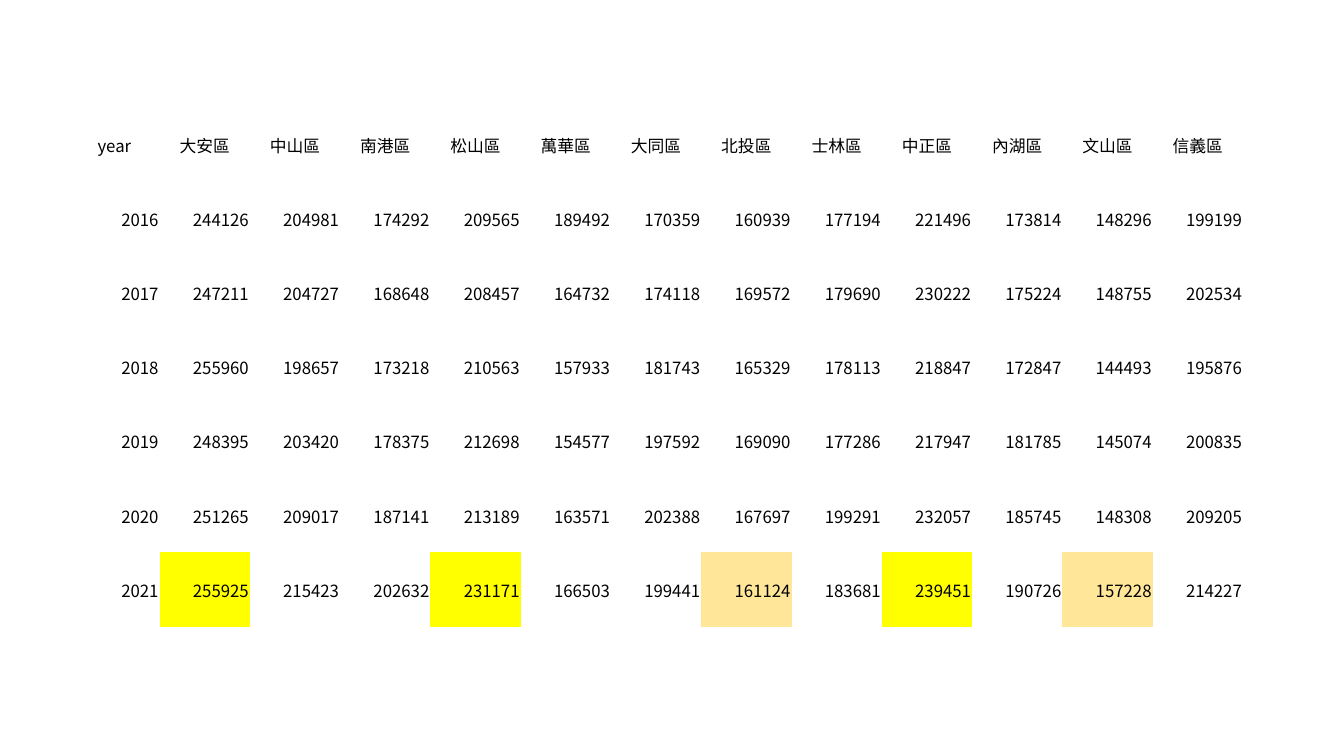
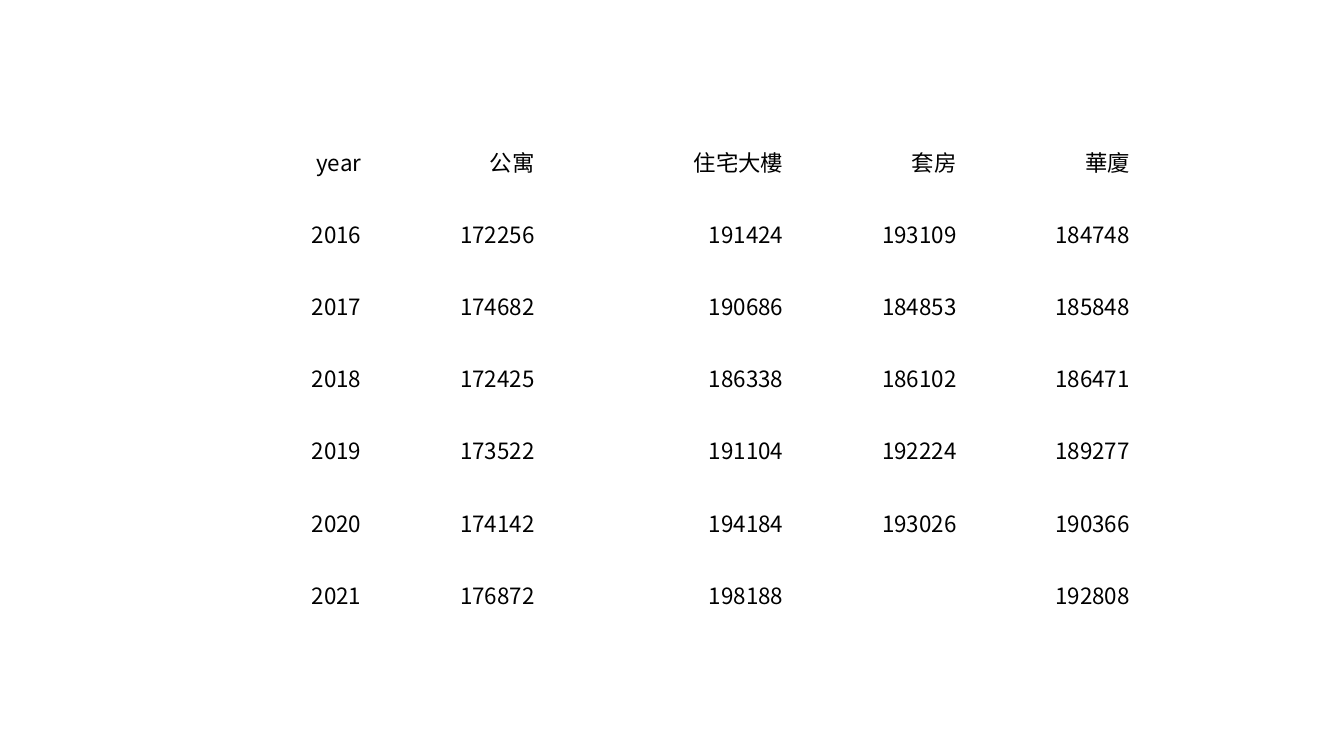
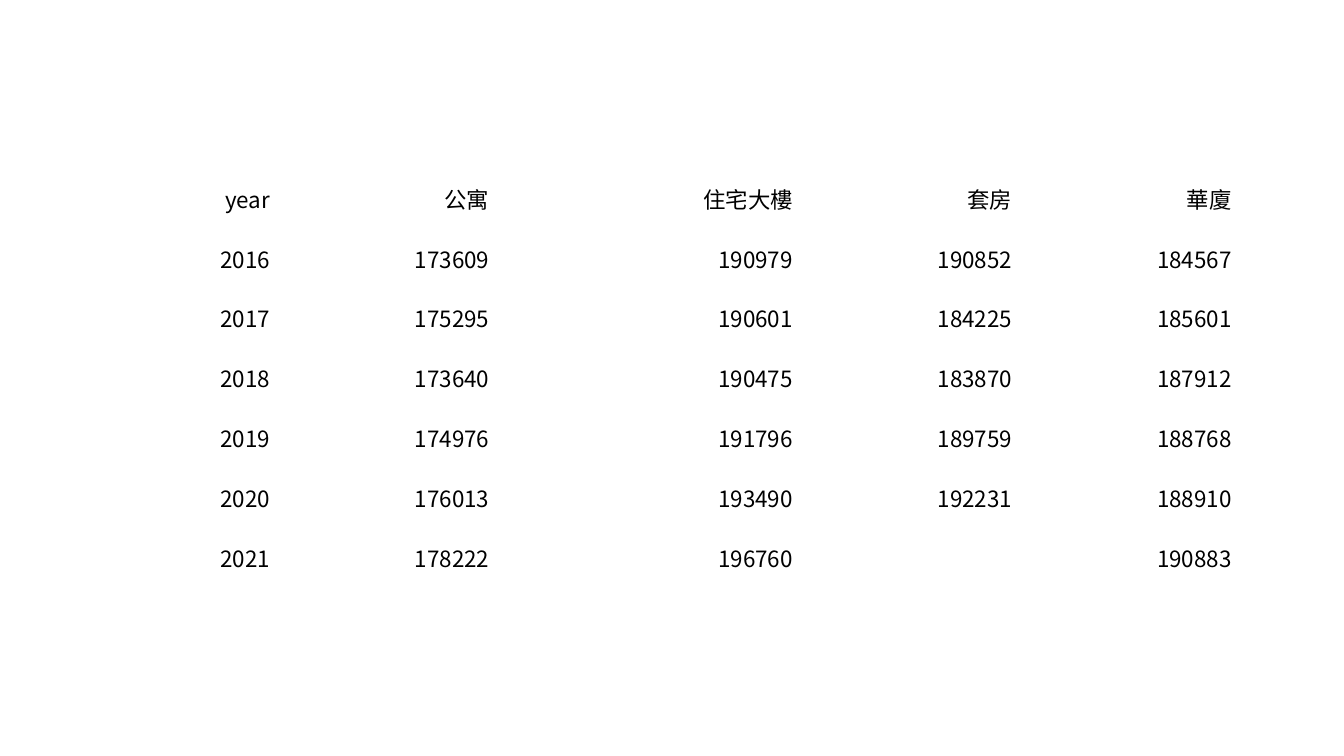
from dataclasses import dataclass

from lxml import etree
from pptx import Presentation
from pptx.dml.color import RGBColor
from pptx.enum.text import MSO_ANCHOR, PP_ALIGN
from pptx.oxml.ns import qn
from pptx.util import Emu, Pt

CENTER, RIGHT = PP_ALIGN.CENTER, PP_ALIGN.RIGHT
MIDDLE = MSO_ANCHOR.MIDDLE
BLANK_LAYOUT = 6
NO_STYLE = "{2D5ABB26-0587-4C30-8999-92F81FD0307C}"


@dataclass(frozen=True)
class Theme:
    """Colours, font and type sizes shared by all slides."""
    text: RGBColor = RGBColor.from_string("000000")
    highest: RGBColor = RGBColor.from_string("FFFF00")
    lowest: RGBColor = RGBColor.from_string("FFE699")
    font: str = "Noto Sans CJK TC"
    dense: int = 12
    regular: int = 16


THEME = Theme()

YEARS = range(2016, 2022)
DISTRICTS = ["大安區", "中山區", "南港區", "松山區", "萬華區", "大同區",
             "北投區", "士林區", "中正區", "內湖區", "文山區", "信義區"]
HOUSING_TYPES = ["公寓", "住宅大樓", "套房", "華廈"]

DISTRICT_PRICES = [
    [244126, 204981, 174292, 209565, 189492, 170359,
     160939, 177194, 221496, 173814, 148296, 199199],
    [247211, 204727, 168648, 208457, 164732, 174118,
     169572, 179690, 230222, 175224, 148755, 202534],
    [255960, 198657, 173218, 210563, 157933, 181743,
     165329, 178113, 218847, 172847, 144493, 195876],
    [248395, 203420, 178375, 212698, 154577, 197592,
     169090, 177286, 217947, 181785, 145074, 200835],
    [251265, 209017, 187141, 213189, 163571, 202388,
     167697, 199291, 232057, 185745, 148308, 209205],
    [255925, 215423, 202632, 231171, 166503, 199441,
     161124, 183681, 239451, 190726, 157228, 214227],
]
HOUSING_PRICES = [
    [172256, 191424, 193109, 184748],
    [174682, 190686, 184853, 185848],
    [172425, 186338, 186102, 186471],
    [173522, 191104, 192224, 189277],
    [174142, 194184, 193026, 190366],
    [176872, 198188, None, 192808],
]
ADJUSTED_HOUSING_PRICES = [
    [173609, 190979, 190852, 184567],
    [175295, 190601, 184225, 185601],
    [173640, 190475, 183870, 187912],
    [174976, 191796, 189759, 188768],
    [176013, 193490, 192231, 188910],
    [178222, 196760, None, 190883],
]


def px(n):
    """Turn pixels into EMU."""
    return Emu(int(n * 9525))


def fill_cell(cell, value, size, align):
    """Write one value into a transparent cell."""
    cell.margin_left = cell.margin_right = cell.margin_top = px(1)
    cell.margin_bottom = 0
    cell.vertical_anchor = MIDDLE
    cell.fill.background()
    if value is None:
        return
    p = cell.text_frame.paragraphs[0]
    p.alignment = align
    r = p.add_run()
    r.text = str(value)
    r.font.size = Pt(size)
    r.font.name = THEME.font
    r.font.color.rgb = THEME.text
    etree.SubElement(r.font._element, qn("a:ea"), typeface=THEME.font)


def add_price_table(prs, left, top, height, widths, names, prices, size, header_align):
    """Add a slide with one plain table of prices by year."""
    s = prs.slides.add_slide(prs.slide_layouts[BLANK_LAYOUT])
    rows = [["year", *names]]
    rows += [[year, *values] for year, values in zip(YEARS, prices)]
    frame = s.shapes.add_table(len(rows), len(widths), px(left), px(top),
                               px(sum(widths)), px(height))
    table = frame.table
    table.first_row = table.horz_banding = False
    table._tbl.tblPr.find(qn("a:tableStyleId")).text = NO_STYLE
    for column, width in zip(table.columns, widths):
        column.width = px(width)
    for i, values in enumerate(rows):
        table.rows[i].height = px(height / len(rows))
        align = RIGHT if i else header_align
        for j, value in enumerate(values):
            fill_cell(table.cell(i, j), value, size, align)
    return table


def mark_extremes(table, values, top_count, bottom_count):
    """Shade the highest and lowest prices of the last year."""
    ranked = sorted(values)
    for j, value in enumerate(values, start=1):
        fill = table.cell(len(table.rows) - 1, j).fill
        if value in ranked[-top_count:]:
            fill.solid()
            fill.fore_color.rgb = THEME.highest
        elif value in ranked[:bottom_count]:
            fill.solid()
            fill.fore_color.rgb = THEME.lowest


def main():
    """Build the three price tables."""
    prs = Presentation()
    prs.slide_width, prs.slide_height = px(1280), px(720)
    table = add_price_table(prs, 66, 102, 495, [86] * (len(DISTRICTS) + 1),
                            DISTRICTS, DISTRICT_PRICES, THEME.dense, CENTER)
    mark_extremes(table, DISTRICT_PRICES[-1], 3, 2)
    add_price_table(prs, 180, 119, 481, [165, 165, 237, 165, 165],
                    HOUSING_TYPES, HOUSING_PRICES, THEME.regular, RIGHT)
    add_price_table(prs, 106, 160, 399, [152, 209, 289, 209, 209],
                    HOUSING_TYPES, ADJUSTED_HOUSING_PRICES, THEME.regular, RIGHT)
    prs.save("out.pptx")


if __name__ == "__main__":
    main()
